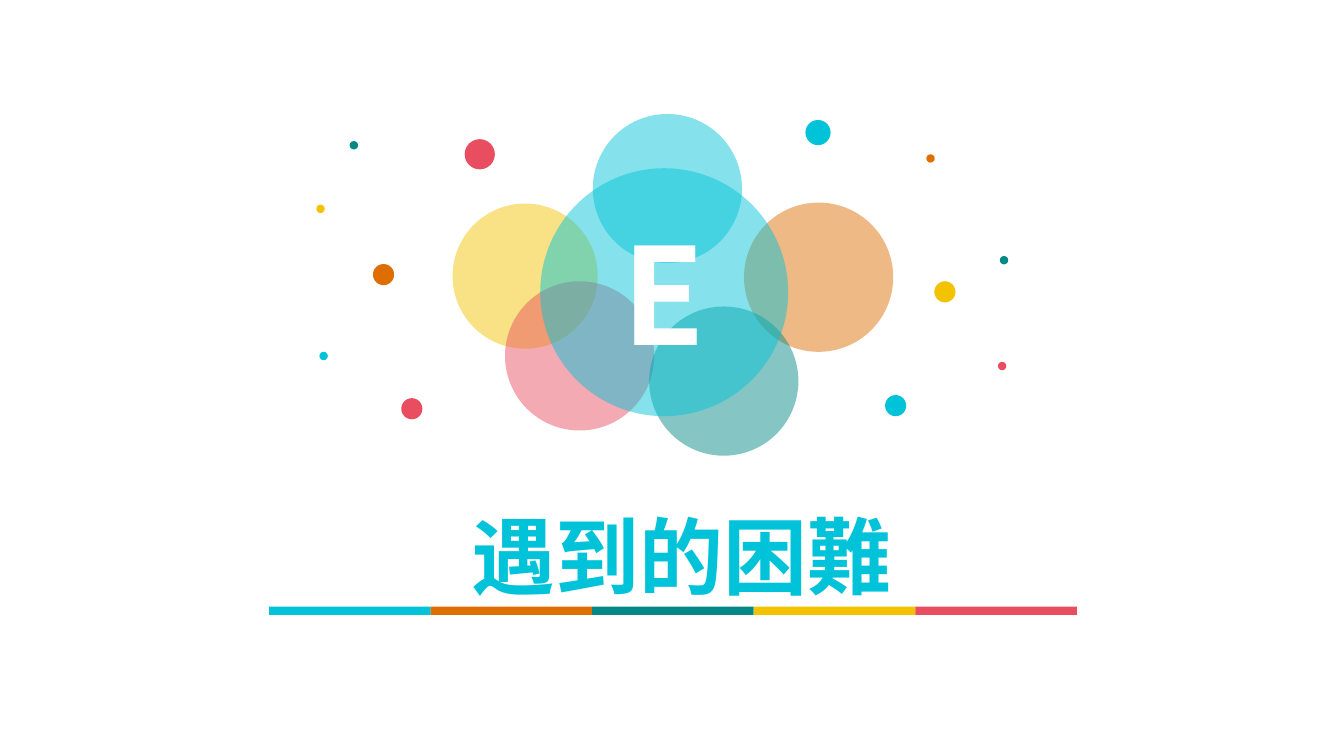
from pptx import Presentation
from pptx.dml.color import RGBColor
from pptx.enum.shapes import MSO_SHAPE
from pptx.enum.text import MSO_ANCHOR, PP_ALIGN
from pptx.oxml.ns import qn
from pptx.util import Pt
from lxml.etree import SubElement

FACE = "Noto Sans CJK SC"
CYAN, ORANGE, TEAL = "00C3D9", "DE6E00", "028985"
YELLOW, RED, WHITE = "F3C301", "E94E60", "FFFFFF"

PETALS = [
    (97.3, 64.4, 103.7, YELLOW),
    (134.7, 119.9, 106.6, RED),
    (197.4, 0.4, 106.6, CYAN),
    (305.4, 63.7, 106.6, ORANGE),
    (237.7, 137.9, 106.6, TEAL),
    (159.9, 39.2, 177.1, CYAN),
]
SMALL, MID = 6, 15.1
DOTS = [
    (0, 65.2, SMALL, YELLOW),
    (23.8, 19.8, SMALL, TEAL),
    (2.2, 170.3, SMALL, CYAN),
    (40.4, 107.6, MID, ORANGE),
    (60.6, 203.4, MID, RED),
    (105.9, 18.4, 21.6, RED),
    (349.3, 4.7, 18, CYAN),
    (435.7, 29.2, SMALL, ORANGE),
    (441.4, 119.9, MID, YELLOW),
    (488.2, 101.9, SMALL, TEAL),
    (406.2, 201.2, MID, CYAN),
    (486.8, 177.5, SMALL, RED),
]


def tint(target, code):
    target.rgb = RGBColor.from_string(code)


def style(target, form):
    for key, value in form.items():
        setattr(target, key, value)


def block(shapes, kind, box, code, alpha=None):
    shape = shapes.add_shape(kind, *map(Pt, box))
    shape.shadow.inherit = False
    shape.line.fill.background()
    shape.fill.solid()
    tint(shape.fill.fore_color, code)
    if alpha:
        node = next(shape.fill._xPr.iter(qn("a:srgbClr")))
        SubElement(node, qn("a:alpha"), val=str(alpha * 1000))
    return shape


def label(shape, words, size, code, form):
    frame = shape.text_frame
    style(frame, {"vertical_anchor": MSO_ANCHOR.MIDDLE, **form})
    para = frame.paragraphs[0]
    para.alignment = PP_ALIGN.CENTER
    run = para.add_run()
    run.text = words
    style(run.font, {"name": FACE, "size": Pt(size), "bold": True})
    tint(run.font.color, code)
    SubElement(run.font._element, qn("a:ea"), typeface=FACE)


def bloom(slide, left, top, letter):
    def disc(x, y, size, code, alpha=None):
        box = left + x, top + y, size, size
        return block(slide.shapes, MSO_SHAPE.OVAL, box, code, alpha)

    for dot in DOTS:
        disc(*dot)
    for petal in PETALS:
        hub = disc(*petal, alpha=48)
    label(hub, letter, 96, WHITE, {"word_wrap": True})


def stripe(slide, left, top, width, height):
    group = slide.shapes.add_group_shape()
    codes = [CYAN, ORANGE, TEAL, YELLOW, RED]
    step = width / len(codes)
    for i, code in enumerate(codes):
        box = left + i * step, top, step, height
        block(group.shapes, MSO_SHAPE.RECTANGLE, box, code)


def title(slide, left, top, width, height, words):
    box = slide.shapes.add_textbox(*map(Pt, (left, top, width, height)))
    label(box, words, 60, CYAN, {"word_wrap": True, "margin_bottom": Pt(38.4)})


deck = Presentation()
style(deck, {"slide_width": Pt(960), "slide_height": Pt(540)})
page = deck.slides.add_slide(deck.slide_layouts[6])
bloom(page, 226, 81, "E")
stripe(page, 192.2, 433.4, 577, 5.8)
title(page, 132.5, 338.4, 708.5, 150.5, "遇到的困難")
deck.save("out.pptx")
